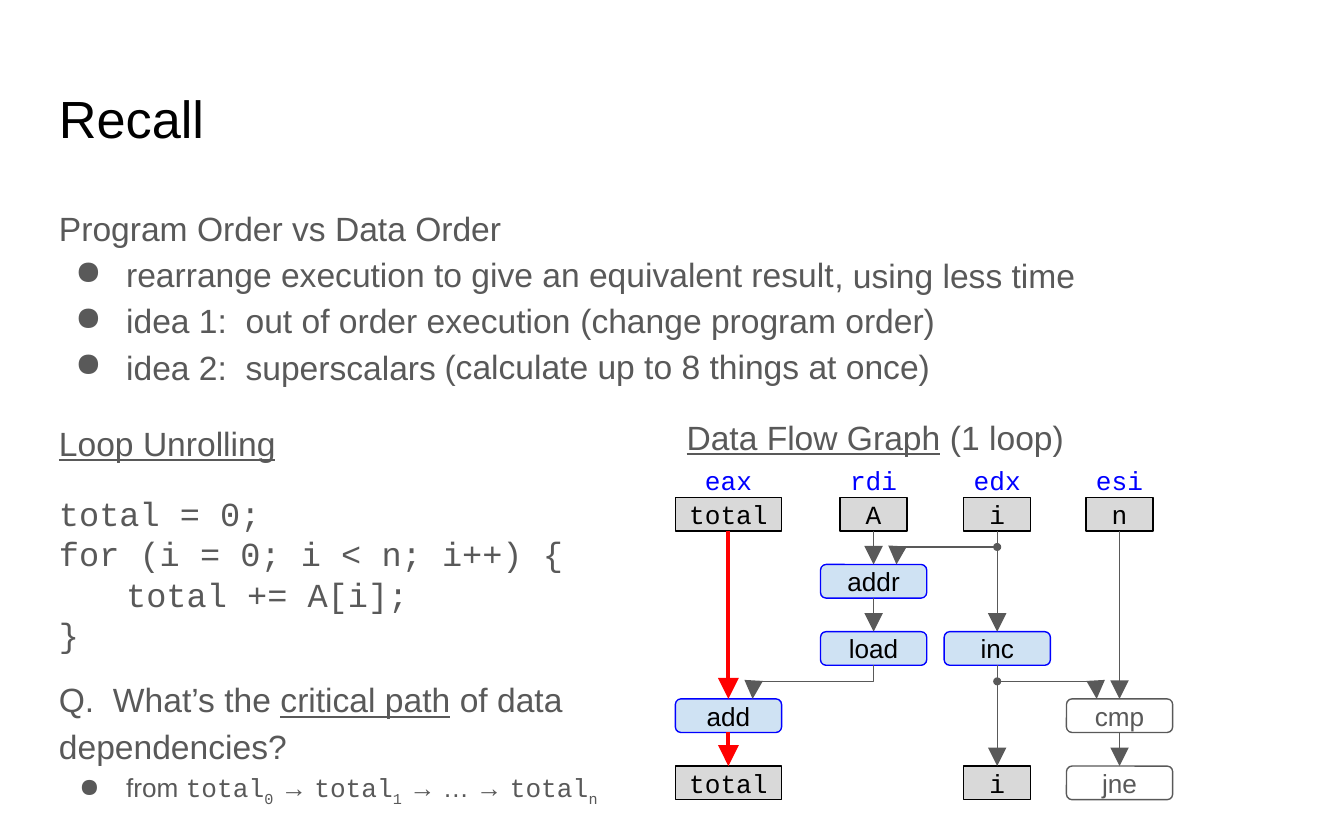
from lxml import etree
from pptx import Presentation
from pptx.dml.color import RGBColor
from pptx.enum.shapes import MSO_CONNECTOR, MSO_SHAPE
from pptx.enum.text import MSO_ANCHOR, PP_ALIGN
from pptx.oxml.ns import qn
from pptx.util import Pt

PX = 9144
STRAIGHT = MSO_CONNECTOR.STRAIGHT
RECT, ROUND, OVAL = MSO_SHAPE.RECTANGLE, MSO_SHAPE.ROUNDED_RECTANGLE, MSO_SHAPE.OVAL
TOP, MIDDLE = MSO_ANCHOR.TOP, MSO_ANCHOR.MIDDLE
LEFT, CENTER = PP_ALIGN.LEFT, PP_ALIGN.CENTER
GRAY, BLACK, BLUE, RED = "595959", "000000", "0000FF", "FF0000"
SANS, MONO = "Arial", "Courier New"

TEXT = {"name": SANS, "size": 18, "color": GRAY}
TITLE = {"name": SANS, "size": 28, "color": BLACK}
UNDER = {**TEXT, "underline": True}
CODE = {**TEXT, "name": MONO}
NOTE = {**TEXT, "size": 14}
NOTE_CODE = {**NOTE, "name": MONO}
SUBSCRIPT = {**NOTE_CODE, "baseline": -25000}

WIDE = {"line_spacing": 1.15}
LAST = {**WIDE, "space_after": Pt(16)}

TEXTS = [
    ((34, 54, 932, 70), [([("Recall", TITLE)], {}, 0)]),
    ((34, 140, 932, 415), [
        ([("Program Order vs Data Order", TEXT)], WIDE, 0),
        ([("rearrange execution to give an equivalent result", TEXT)], WIDE, 38),
        ([("idea 1:  out of order execution", TEXT)], WIDE, 38),
        ([("idea 2:  superscalars", TEXT)], LAST, 38),
        ([("Loop Unrolling", UNDER)], LAST, 0),
        ([("total = 0;", CODE)], {}, 0),
        ([("for (i = 0; i < n; i++) {", CODE)], {}, 0),
        ([("\ttotal += A[i];", CODE)], {}, 0),
        ([("}", CODE)], {}, 0),
    ]),
    ((611, 175, 240, 44), [([(", using less time", TEXT)], WIDE, 0)]),
    ((422, 209, 330, 47), [([("(change program order)", TEXT)], WIDE, 0)]),
    ((321, 243, 430, 63), [([("(calculate up to 8 things at once)", TEXT)], WIDE, 0)]),
    ((34, 491, 433, 95), [
        ([("Q.  What’s the ", TEXT), ("critical path", UNDER),
          (" of data dependencies?", TEXT)], WIDE, 0),
        ([("from ", NOTE), ("total", NOTE_CODE), ("0", SUBSCRIPT), (" → ", NOTE),
          ("total", NOTE_CODE), ("1", SUBSCRIPT), (" → … → ", NOTE),
          ("total", NOTE_CODE), ("n", SUBSCRIPT)], WIDE, 35),
    ]),
    ((501, 300, 465, 47), [([("Data Flow Graph", UNDER)], {}, 0)]),
    ((697, 300, 120, 47), [([("(1 loop)", TEXT)], {}, 0)]),
]

COLUMNS = {"eax": 542, "rdi": 650, "edx": 742, "esi": 833}
FIRST_ROW, ROW_STEP, NODE_HEIGHT = 370, 50, 25
KINDS = {
    "value": (RECT, "D9D9D9", BLACK, MONO, BLACK),
    "work": (ROUND, "CFE2F3", BLUE, SANS, BLACK),
    "test": (ROUND, "FFFFFF", GRAY, SANS, GRAY),
}
NODES = [
    ("total", "eax", 0, 79, "value"), ("A", "rdi", 0, 50, "value"),
    ("i", "edx", 0, 50, "value"), ("n", "esi", 0, 50, "value"),
    ("addr", "rdi", 1, 79, "work"), ("load", "rdi", 2, 79, "work"),
    ("inc", "edx", 2, 79, "work"), ("add", "eax", 3, 79, "work"),
    ("cmp", "esi", 3, 79, "test"), ("total", "eax", 4, 79, "value"),
    ("i", "edx", 4, 50, "value"), ("jne", "esi", 4, 79, "test"),
]
ARROWS = [
    ("rdi", 0, 1, GRAY, 0.75), ("rdi", 1, 2, GRAY, 0.75),
    ("edx", 0, 2, GRAY, 0.75), ("edx", 2, 4, GRAY, 0.75),
    ("esi", 0, 3, GRAY, 0.75), ("esi", 3, 4, GRAY, 0.75),
    ("eax", 0, 3, RED, 2.25), ("eax", 3, 4, RED, 2.25),
]
BENDS = [("edx", 0, 667), ("rdi", 2, 560), ("edx", 2, 816)]
DOTS = [("edx", 0), ("edx", 2)]
DOT_SIZE = 6


def color(value):
    return RGBColor.from_string(value)


def scaled(*lengths):
    return [round(length * PX) for length in lengths]


def row_top(row):
    return FIRST_ROW + row * ROW_STEP


def row_bottom(row):
    return row_top(row) + NODE_HEIGHT


def add_span(para, text, style):
    span = para.add_run()
    span.text = text
    for key, value in style.items():
        if key == "color":
            span.font.color.rgb = color(value)
        elif key == "baseline":
            span._r.get_or_add_rPr().set("baseline", str(value))
        else:
            setattr(span.font, key, Pt(value) if key == "size" else value)


def add_bullet(para, hanging):
    properties = para._p.get_or_add_pPr()
    properties.set("marL", str(50 * PX))
    properties.set("indent", str(-hanging * PX))
    bullet_color = etree.SubElement(properties, qn("a:buClr"))
    etree.SubElement(bullet_color, qn("a:srgbClr"), val=GRAY)
    etree.SubElement(properties, qn("a:buChar"), char="●")


def fill_text(box, paragraphs, anchor=TOP, align=LEFT):
    frame = box.text_frame
    margins = dict.fromkeys(
        ("margin_left", "margin_top", "margin_right", "margin_bottom"), 10 * PX)
    for key, value in {**margins, "word_wrap": True, "vertical_anchor": anchor}.items():
        setattr(frame, key, value)
    for index, (spans, layout, hanging) in enumerate(paragraphs):
        para = frame.add_paragraph() if index else frame.paragraphs[0]
        if hanging:
            add_bullet(para, hanging)
        for key, value in {"alignment": align, **layout}.items():
            setattr(para, key, value)
        for text, style in spans:
            add_span(para, text, style)


def add_label(box, text, font, ink):
    style = {"name": font, "size": 14, "color": ink}
    fill_text(box, [([(text, style)], {}, 0)], MIDDLE, CENTER)


def add_node(page, text, column, row, width, kind):
    shape, fill, edge, font, ink = KINDS[kind]
    box = page.shapes.add_shape(
        shape, *scaled(COLUMNS[column] - width / 2, row_top(row), width, NODE_HEIGHT))
    box.shadow.inherit = False
    box.fill.solid()
    box.fill.fore_color.rgb = color(fill)
    box.line.color.rgb = color(edge)
    box.line.width = Pt(0.75)
    add_label(box, text, font, ink)


def style_arrow(arrow, ink, width):
    arrow.line.color.rgb = color(ink)
    arrow.line.width = Pt(width)
    etree.SubElement(arrow.line._get_or_add_ln(), qn("a:tailEnd"),
                     type="triangle", w="lg", len="lg")


def add_arrow(page, column, start, end, ink, width):
    x = COLUMNS[column]
    arrow = page.shapes.add_connector(
        STRAIGHT, *scaled(x, row_bottom(start), x, row_top(end)))
    style_arrow(arrow, ink, width)
    etree.SubElement(arrow._element.spPr, qn("a:effectLst"))


def add_bend(page, column, row, target):
    x, y = COLUMNS[column], row_bottom(row)
    builder = page.shapes.build_freeform(x, y, scale=PX)
    builder.add_line_segments(
        [(x, y + 12), (target, y + 12), (target, row_top(row + 1))], close=False)
    bend = builder.convert_to_shape()
    bend.shadow.inherit = False
    bend.fill.background()
    style_arrow(bend, GRAY, 0.75)


def add_dot(page, column, row):
    dot = page.shapes.add_shape(OVAL, *scaled(
        COLUMNS[column] - DOT_SIZE / 2, row_bottom(row) + 12 - DOT_SIZE / 2,
        DOT_SIZE, DOT_SIZE))
    dot.shadow.inherit = False
    dot.fill.solid()
    dot.fill.fore_color.rgb = color(GRAY)
    dot.line.fill.background()


def main():
    deck = Presentation()
    deck.slide_width, deck.slide_height = scaled(1000, 625)
    page = deck.slides.add_slide(deck.slide_layouts[6])
    for place, paragraphs in TEXTS:
        fill_text(page.shapes.add_textbox(*scaled(*place)), paragraphs)
    for name, x in COLUMNS.items():
        box = page.shapes.add_textbox(
            *scaled(x - 79 / 2, FIRST_ROW - NODE_HEIGHT, 79, NODE_HEIGHT))
        add_label(box, name, MONO, BLUE)
    for add, items in ((add_node, NODES), (add_bend, BENDS),
                       (add_dot, DOTS), (add_arrow, ARROWS)):
        for item in items:
            add(page, *item)
    deck.save("out.pptx")


if __name__ == "__main__":
    main()
